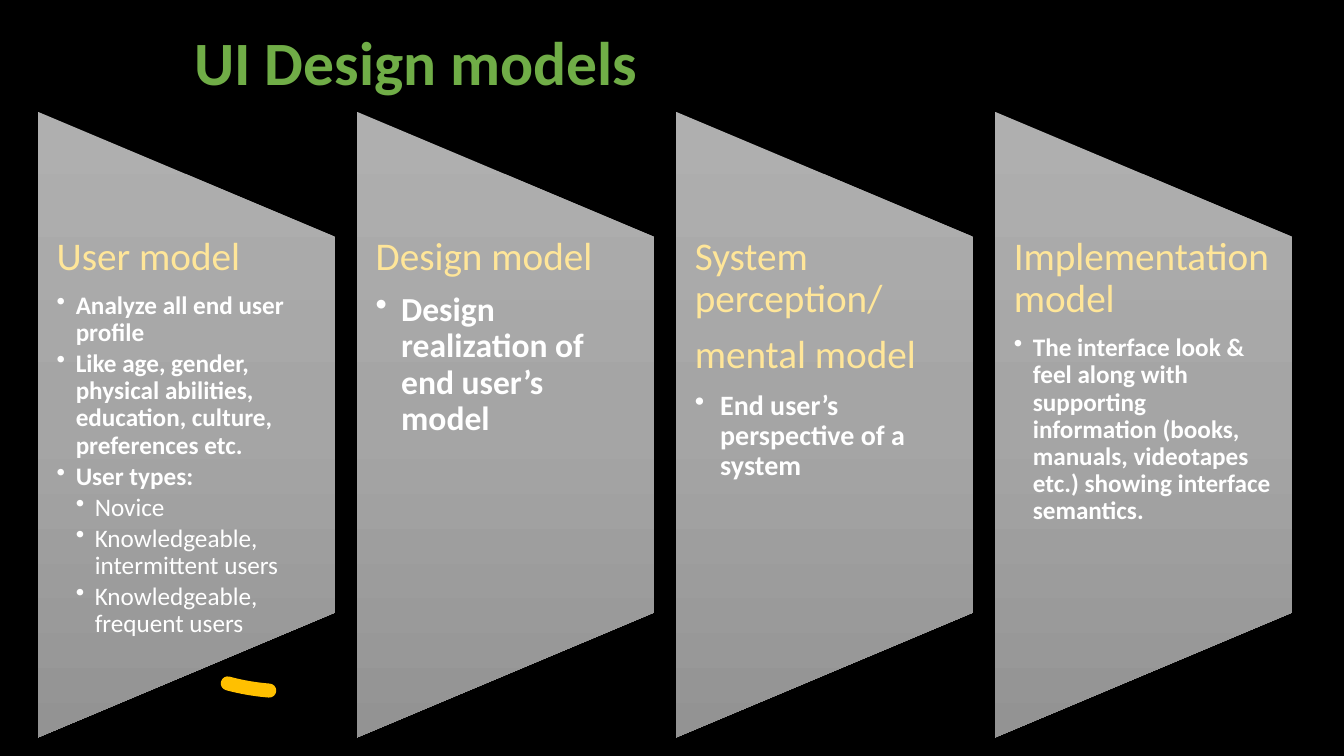
from copy import deepcopy
from dataclasses import dataclass

from lxml import etree
from pptx import Presentation
from pptx.dml.color import RGBColor
from pptx.enum.dml import MSO_LINE
from pptx.enum.shapes import MSO_SHAPE
from pptx.enum.text import MSO_ANCHOR
from pptx.oxml.ns import qn
from pptx.util import Cm, Pt

RECT = MSO_SHAPE.RECTANGLE
ARC = MSO_SHAPE.ARC
TRAPEZOID = MSO_SHAPE.FLOWCHART_MANUAL_OPERATION
DASH = MSO_LINE.DASH
MIDDLE = MSO_ANCHOR.MIDDLE

FONT = "Calibri"
COLORS = {
    "background": "000000",
    "title": "70AD47",
    "accent": "FFC000",
    "heading": "FFE699",
    "body": "FFFFFF",
    "panel_top": "AFAFAF",
    "panel_middle": "A5A5A5",
    "panel_bottom": "939393",
}

# Panel geometry in cm; a panel is drawn lying down and turned upright
PANEL_LEFT, PANEL_PITCH = 0.95, 8.04
PANEL_WIDTH, PANEL_HEIGHT = 7.5, 15.77
PANEL_MIDDLE = 10.7
TEXT_TOP, TEXT_HEIGHT = 5.96, 9.46
TEXT_INSET = 0.48


@dataclass
class Bullet:
    text: str
    level: int = 1


@dataclass
class Model:
    headings: list[str]
    bullets: list[Bullet]
    size: int
    indent: float


MODELS = [
    Model(["User model"], [
        Bullet("Analyze all end user profile"),
        Bullet("Like age, gender, physical abilities, education, culture, preferences etc."),
        Bullet("User types:"),
        Bullet("Novice", 2),
        Bullet("Knowledgeable, intermittent users", 2),
        Bullet("Knowledgeable, frequent users", 2),
    ], 18, 0.48),
    Model(["Design model"], [Bullet("Design realization of end user’s model")], 24, 0.64),
    Model(["System perception/", "mental model"],
          [Bullet("End user’s perspective of a system")], 20, 0.64),
    Model(["Implementation model"], [
        Bullet("The interface look & feel along with supporting information "
               "(books, manuals, videotapes etc.) showing interface semantics."),
    ], 18, 0.48),
]


def rgb(name: str) -> RGBColor:
    return RGBColor.from_string(COLORS[name])


def style(p, size: int, color: str, bold: bool = False, after: float = 0) -> None:
    """Format a paragraph and its run; after is a share of the text size."""
    p.line_spacing = 0.9
    p.space_after = Pt(size * after)
    font = p.runs[0].font
    font.name, font.size, font.bold = FONT, Pt(size), bold
    font.color.rgb = rgb(color)


def add_bullet_mark(p, level: int, indent: float) -> None:
    pPr = p._p.get_or_add_pPr()
    pPr.set("marL", str(Cm(indent * level)))
    pPr.set("indent", str(-Cm(indent)))
    etree.SubElement(pPr, qn("a:buChar")).set("char", "•")


def add_background(slide, prs) -> None:
    sp = slide.shapes.add_shape(RECT, 0, 0, prs.slide_width, prs.slide_height)
    sp.shadow.inherit = False
    sp.fill.solid()
    sp.fill.fore_color.rgb = rgb("background")
    sp.line.fill.background()


def add_title(slide, text: str) -> None:
    tf = slide.shapes.add_textbox(Cm(4.65), Cm(-0.2), Cm(29.2), Cm(3.68)).text_frame
    tf.word_wrap = True
    tf.vertical_anchor = MIDDLE
    tf.text = text
    style(tf.paragraphs[0], 44, "title", bold=True)


def add_accent_arc(slide) -> None:
    sp = slide.shapes.add_shape(ARC, Cm(1.55), Cm(6.07), Cm(11.35), Cm(11.35))
    sp.shadow.inherit = False
    sp.rotation = 90
    sp._element.spPr.find(qn("a:xfrm")).set("flipV", "1")
    sp.fill.background()
    sp.line.color.rgb = rgb("accent")
    sp.line.width = Pt(10)
    sp.line.dash_style = DASH
    sp._element.spPr.find(qn("a:ln")).set("cap", "rnd")


def fill_panel(sp) -> None:
    """Shade from top to bottom of the slide, whatever the shape's rotation."""
    sp.fill.gradient()
    sp.fill.gradient_angle = 270
    grad = sp._element.spPr.find(qn("a:gradFill"))
    grad.set("rotWithShape", "0")
    first = grad.find(qn("a:gsLst"))[0]
    middle = deepcopy(first)
    middle.set("pos", "50000")
    first.addnext(middle)
    names = ("panel_top", "panel_middle", "panel_bottom")
    for stop, name in zip(sp.fill.gradient_stops, names):
        stop.color.rgb = rgb(name)


def add_panel(slide, left: float) -> None:
    sp = slide.shapes.add_shape(
        TRAPEZOID,
        Cm(left - (PANEL_HEIGHT - PANEL_WIDTH) / 2), Cm(PANEL_MIDDLE - PANEL_WIDTH / 2),
        Cm(PANEL_HEIGHT), Cm(PANEL_WIDTH))
    sp.rotation = 270
    sp.shadow.inherit = False
    sp.line.fill.background()
    fill_panel(sp)


def add_model_text(slide, model: Model, left: float) -> None:
    tf = slide.shapes.add_textbox(
        Cm(left), Cm(TEXT_TOP), Cm(PANEL_WIDTH), Cm(TEXT_HEIGHT)).text_frame
    tf.word_wrap = True
    tf.margin_left = tf.margin_right = Cm(TEXT_INSET)
    tf.margin_top = tf.margin_bottom = 0
    tf.text = "\n".join(model.headings)
    for p in tf.paragraphs:
        style(p, 28, "heading", after=0.35)
    for bullet in model.bullets:
        p = tf.add_paragraph()
        p.text = bullet.text
        p.level = bullet.level
        add_bullet_mark(p, bullet.level, model.indent)
        style(p, model.size, "body", bold=bullet.level == 1, after=0.15)


def main() -> None:
    prs = Presentation()
    prs.slide_width, prs.slide_height = Cm(33.87), Cm(19.05)
    slide = prs.slides.add_slide(prs.slide_layouts[6])
    add_background(slide, prs)
    add_title(slide, "UI Design models")
    add_accent_arc(slide)
    for i, model in enumerate(MODELS):
        left = PANEL_LEFT + i * PANEL_PITCH
        add_panel(slide, left)
        add_model_text(slide, model, left)
    prs.save("out.pptx")


if __name__ == "__main__":
    main()
